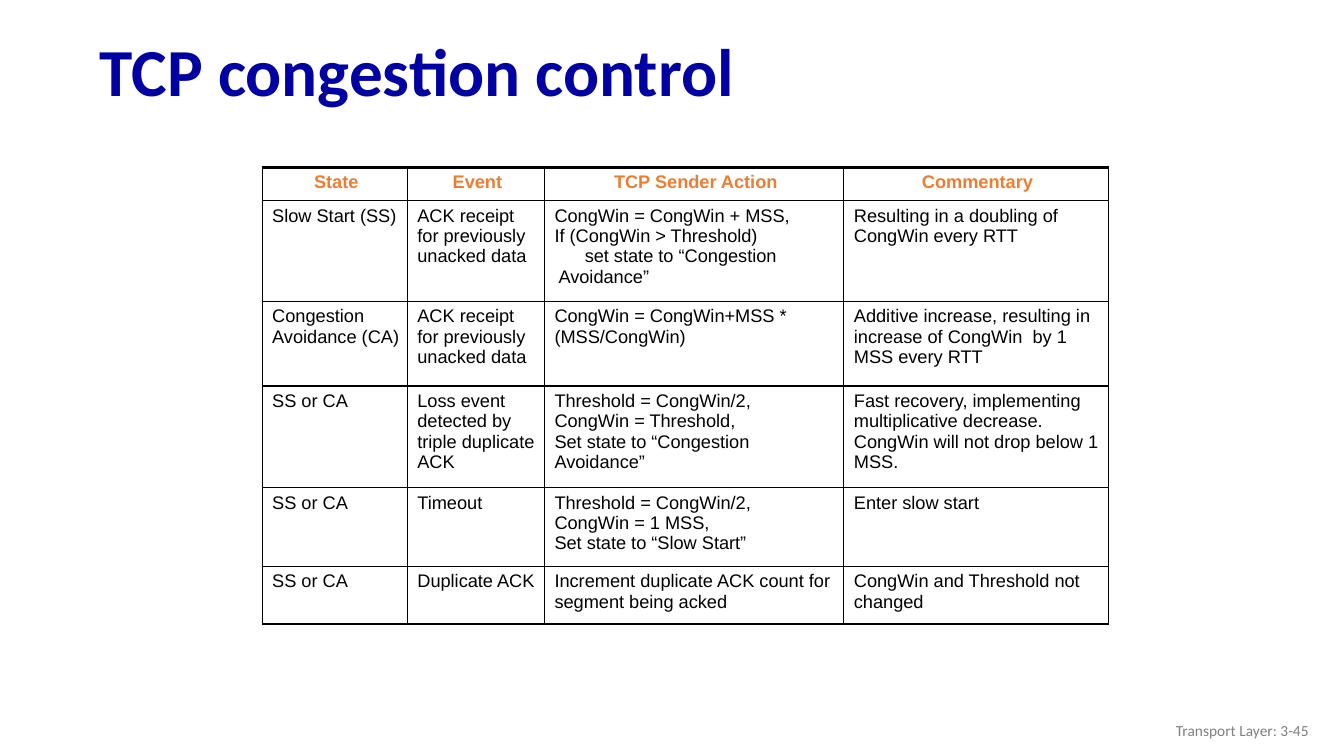
"""Build the TCP congestion control slide with its state table."""
from lxml.etree import SubElement
from pptx import Presentation
from pptx.dml.color import RGBColor
from pptx.enum.text import MSO_ANCHOR, PP_ALIGN
from pptx.oxml.ns import qn
from pptx.util import Inches, Pt


def format_text(paragraph, size, font_name, color, bold=False):
    for run in paragraph.runs:
        run.font.size = Pt(size)
        run.font.name = font_name
        run.font.bold = bold
        run.font.color.rgb = RGBColor.from_string(color)


def draw_border(cell, side, width):
    properties = cell._tc.get_or_add_tcPr()
    line = SubElement(properties, qn(f"a:{side}"), w=str(Pt(width)))
    fill = SubElement(line, qn("a:solidFill"))
    SubElement(fill, qn("a:srgbClr"), val="000000")


presentation = Presentation()
presentation.slide_width = Inches(13.33)
presentation.slide_height = Inches(7.5)
slide = presentation.slides.add_slide(presentation.slide_layouts[5])

title = slide.shapes.title
title.left, title.top = Inches(0.89), Inches(0.25)
title.width, title.height = Inches(12.44), Inches(0.98)
title.text_frame.text = "TCP congestion control"
title.text_frame.vertical_anchor = MSO_ANCHOR.MIDDLE
title_paragraph = title.text_frame.paragraphs[0]
title_paragraph.alignment = PP_ALIGN.LEFT
title_paragraph.line_spacing = 0.9
format_text(title_paragraph, 48, "Calibri", "0000A3", bold=True)

footer = slide.shapes.add_textbox(Inches(10.08), Inches(7.05), Inches(3), Inches(0.4))
footer.text_frame.word_wrap = True
footer.text_frame.vertical_anchor = MSO_ANCHOR.MIDDLE
footer.text_frame.text = "Transport Layer: 3-45"
footer_paragraph = footer.text_frame.paragraphs[0]
footer_paragraph.alignment = PP_ALIGN.RIGHT
format_text(footer_paragraph, 11, "Calibri", "808080")

rows = [
    ["State", "Event", "TCP Sender Action", "Commentary"],
    ["Slow Start (SS)", "ACK receipt for previously unacked data",
     "CongWin = CongWin + MSS,\nIf (CongWin > Threshold)\nset state to “Congestion Avoidance”",
     "Resulting in a doubling of CongWin every RTT"],
    ["Congestion\nAvoidance (CA)", "ACK receipt for previously unacked data",
     "CongWin = CongWin+MSS * (MSS/CongWin)",
     "Additive increase, resulting in increase of CongWin  by 1 MSS every RTT"],
    ["SS or CA", "Loss event detected by triple duplicate ACK",
     "Threshold = CongWin/2,\nCongWin = Threshold,\nSet state to “Congestion Avoidance”",
     "Fast recovery, implementing multiplicative decrease. "
     "CongWin will not drop below 1 MSS."],
    ["SS or CA", "Timeout",
     "Threshold = CongWin/2,\nCongWin = 1 MSS,\nSet state to “Slow Start”",
     "Enter slow start"],
    ["SS or CA", "Duplicate ACK", "Increment duplicate ACK count for segment being acked",
     "CongWin and Threshold not changed"],
]
column_widths = [1.44, 1.36, 2.97, 2.62]
row_heights = [0.33, 1, 0.84, 1.01, 0.78, 0.57]
last_row = len(rows) - 1

table = slide.shapes.add_table(
    len(rows), len(column_widths), Inches(2.6), Inches(1.66),
    Inches(sum(column_widths)), Inches(sum(row_heights))).table
table.first_row = False
table.horz_banding = False
for column, width in zip(table.columns, column_widths):
    column.width = Inches(width)
for row, height in zip(table.rows, row_heights):
    row.height = Inches(height)

for row_index, texts in enumerate(rows):
    is_header = row_index == 0
    for column_index, text in enumerate(texts):
        cell = table.cell(row_index, column_index)
        cell.margin_right = Inches(0.07)
        cell.text_frame.text = text
        for paragraph in cell.text_frame.paragraphs:
            paragraph.alignment = PP_ALIGN.CENTER if is_header else PP_ALIGN.LEFT
            format_text(paragraph, 13, "Arial", "ED7D31" if is_header else "000000", is_header)
        draw_border(cell, "lnL", 0.75)
        draw_border(cell, "lnR", 0.75)
        draw_border(cell, "lnT", 2 if is_header else 1)
        draw_border(cell, "lnB", 2 if row_index == last_row else 1)
        cell.fill.background()

nested_action = table.cell(1, 2).text_frame.paragraphs[2]
nested_properties = nested_action._p.get_or_add_pPr()
nested_properties.set("marL", str(Inches(0.04)))
nested_properties.set("indent", str(Inches(0.26)))

presentation.save("out.pptx")
